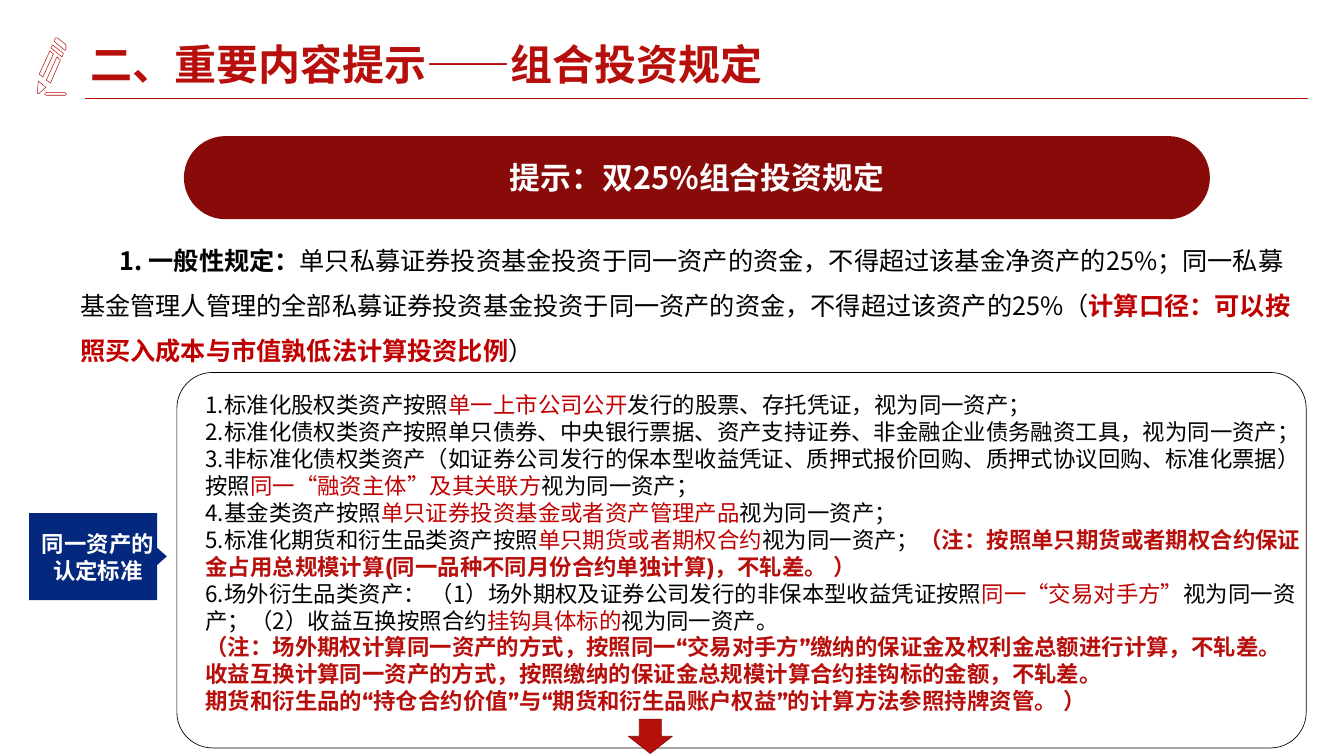
"""Build a slide on the portfolio investment rules for private funds."""
from lxml import etree
from pptx import Presentation
from pptx.dml.color import RGBColor
from pptx.enum.shapes import MSO_CONNECTOR, MSO_SHAPE
from pptx.enum.text import MSO_ANCHOR, MSO_AUTO_SIZE, PP_ALIGN
from pptx.oxml.ns import qn
from pptx.util import Pt

PX = 9144
CJK, LATIN = "Noto Sans CJK SC", "Montserrat"
RED, BRIGHT, DARK, NAVY = "B70F0C", "C00000", "890B09", "04287E"
BLACK, WHITE = "000000", "FFFFFF"
LEFT, CENTER = PP_ALIGN.LEFT, PP_ALIGN.CENTER
TOP, MIDDLE = MSO_ANCHOR.TOP, MSO_ANCHOR.MIDDLE
FIT, FIXED = MSO_AUTO_SIZE.SHAPE_TO_FIT_TEXT, MSO_AUTO_SIZE.NONE
ROUNDED, ARROW = MSO_SHAPE.ROUNDED_RECTANGLE, MSO_SHAPE.DOWN_ARROW
STRAIGHT = MSO_CONNECTOR.STRAIGHT


def paint(shape, fill=None, line=None, weight=1):
    """Set the fill and outline of a shape from hex strings."""
    shape.shadow.inherit = False
    for part, color in ((shape.fill, fill), (shape.line.fill, line)):
        if color:
            part.solid()
            part.fore_color.rgb = RGBColor.from_string(color)
        else:
            part.background()
    if line:
        shape.line.width = Pt(weight)


def write(box, paragraphs, size, align=LEFT, anchor=TOP, spacing=1.0, fit=FIXED, inset=None, indent=0):
    """Fill a box with paragraphs made of (text, color, bold, font) runs."""
    frame = box.text_frame
    frame.word_wrap = True
    frame.auto_size = fit
    frame.vertical_anchor = anchor
    if inset is not None:
        frame.margin_left = frame.margin_right = inset * PX
        frame.margin_top = frame.margin_bottom = inset * PX
    for number, runs in enumerate(paragraphs):
        para = frame.add_paragraph() if number else frame.paragraphs[0]
        para.alignment = align
        para.line_spacing = spacing
        if indent:
            para._p.get_or_add_pPr().set("indent", str(indent * PX))
        for text, color, bold, font in runs:
            span = para.add_run()
            span.text = text
            span.font.size = Pt(size)
            span.font.bold = bold
            span.font.color.rgb = RGBColor.from_string(color)
            span.font.name = font
            etree.SubElement(span._r.get_or_add_rPr(), qn("a:ea"), typeface=font)


deck = Presentation()
deck.slide_width, deck.slide_height = 2667 * PX, 1500 * PX
page = deck.slides.add_slide(deck.slide_layouts[6])
shapes = page.shapes

pencil_parts = [
    [(92, 184), (129, 184), (131, 185), (131, 188), (129, 189), (92, 189), (89, 188), (89, 185)],
    [(92, 159), (113, 113), (120, 119), (100, 165)],
    [(78, 147), (99, 101), (106, 107), (85, 153)],
    [(74, 184), (76, 161), (91, 173), (77, 186), (75, 186)],
    [(104, 89), (101, 95), (123, 113), (126, 106)],
    [(109, 78), (111, 75), (115, 76), (129, 87), (131, 91), (131, 96), (129, 100), (107, 82)],
]
outline = shapes.build_freeform(*pencil_parts[0][0], scale=PX)
for number, points in enumerate(pencil_parts):
    if number:
        outline.move_to(*points[0])
    outline.add_line_segments(points[1:], close=True)
pencil = outline.convert_to_shape()
paint(pencil, WHITE, RED, 0.75)

rule = shapes.add_connector(STRAIGHT, 2596 * PX, 195 * PX, 169 * PX, 195 * PX)
rule.line.color.rgb = RGBColor.from_string(RED)
rule.line.width = Pt(0.75)
etree.SubElement(rule._element.spPr, qn("a:effectLst"))

general = shapes.add_textbox(149 * PX, 451 * PX, 2443 * PX, 283 * PX)
write(general, [[
    ("1. 一般性规定：", BLACK, True, CJK),
    ("单只私募证券投资基金投资于同一资产的资金，不得超过该基金净资产的25%；同一私募基金管理人管理的全部私募证券投资基金投资于同一资产的资金，不得超过该资产的25%（", BLACK, False, CJK),
    ("计算口径：可以按照买入成本与市值孰低法计算投资比例", BRIGHT, True, CJK),
    ("）", BLACK, False, CJK),
]], 36, spacing=1.5, fit=FIT, indent=79)

banner = shapes.add_shape(ROUNDED, 365 * PX, 270 * PX, 2036 * PX, 165 * PX)
banner.adjustments[0] = 0.5
paint(banner, DARK)
write(banner, [[("提示：双25%组合投资规定", WHITE, True, CJK)]], 44, CENTER, MIDDLE, inset=2)

title = shapes.add_textbox(169 * PX, 70 * PX, 2300 * PX, 124 * PX)
write(title, [[
    ("二、重要内容提示——", RED, True, CJK),
    ("组合投资规定", RED, True, LATIN),
]], 60, anchor=MIDDLE, spacing=0.9)

panel = shapes.add_shape(ROUNDED, 351 * PX, 739 * PX, 2241 * PX, 745 * PX)
panel.adjustments[0] = 0.095
paint(panel, line=BLACK)

plain, marked = (BLACK, False, CJK), (BRIGHT, False, CJK)
note, bracket = (RED, True, LATIN), (RED, True, CJK)
standards = [
    [("1.标准化股权类资产按照", *plain), ("单一上市公司公开", *marked),
     ("发行的股票、存托凭证，视为同一资产；", *plain)],
    [("2.标准化债权类资产按照单只债券、中央银行票据、资产支持证券、非金融企业债务融资工具，视为同一资产；", *plain)],
    [("3.非标准化债权类资产（如证券公司发行的保本型收益凭证、质押式报价回购、质押式协议回购、标准化票据）按照", *plain),
     ("同一“融资主体”及其关联方", *marked), ("视为同一资产；", *plain)],
    [("4.基金类资产按照", *plain), ("单只证券投资基金或者资产管理产品", *marked),
     ("视为同一资产；", *plain)],
    [("5.标准化期货和衍生品类资产按照", *plain), ("单只期货或者期权合约", *marked),
     ("视为同一资产；", *plain), ("（注：", *bracket),
     ("按照单只期货或者期权合约保证金占用总规模计算(同一品种不同月份合约单独计算)，不轧差。 ", *note),
     ("）", *bracket)],
    [("6.场外衍生品类资产： （1）场外期权及证券公司发行的非保本型收益凭证按照", *plain),
     ("同一“交易对手方”", *marked), ("视为同一资产；（2）收益互换按照合约", *plain),
     ("挂钩具体标的", *marked), ("视为同一资产。", *plain)],
    [("（注：", *bracket),
     ("场外期权计算同一资产的方式，按照同一“交易对手方”缴纳的保证金及权利金总额进行计算，不轧差。", *note)],
    [("收益互换计算同一资产的方式，按照缴纳的保证金总规模计算合约挂钩标的金额，不轧差。", *note)],
    [("期货和衍生品的“持仓合约价值”与“期货和衍生品账户权益”的计算方法参照持牌资管。 ", *note),
     ("）", *bracket)],
]
details = shapes.add_textbox(398 * PX, 772 * PX, 2208 * PX, 656 * PX)
write(details, standards, 32, fit=FIT)

outline = shapes.build_freeform(58, 1018, scale=PX)
outline.add_line_segments(
    [(312, 1018), (312, 1087), (331, 1104), (312, 1121), (312, 1191), (58, 1191)], close=True)
label = outline.convert_to_shape()
paint(label, NAVY)
write(label, [[(text, WHITE, True, CJK)] for text in ("同一资产的", "认定标准")], 32, CENTER, MIDDLE)

arrow = shapes.add_shape(ARROW, 1247 * PX, 1427 * PX, 87 * PX, 68 * PX)
paint(arrow, RED, "870B09")

deck.save("out.pptx")
